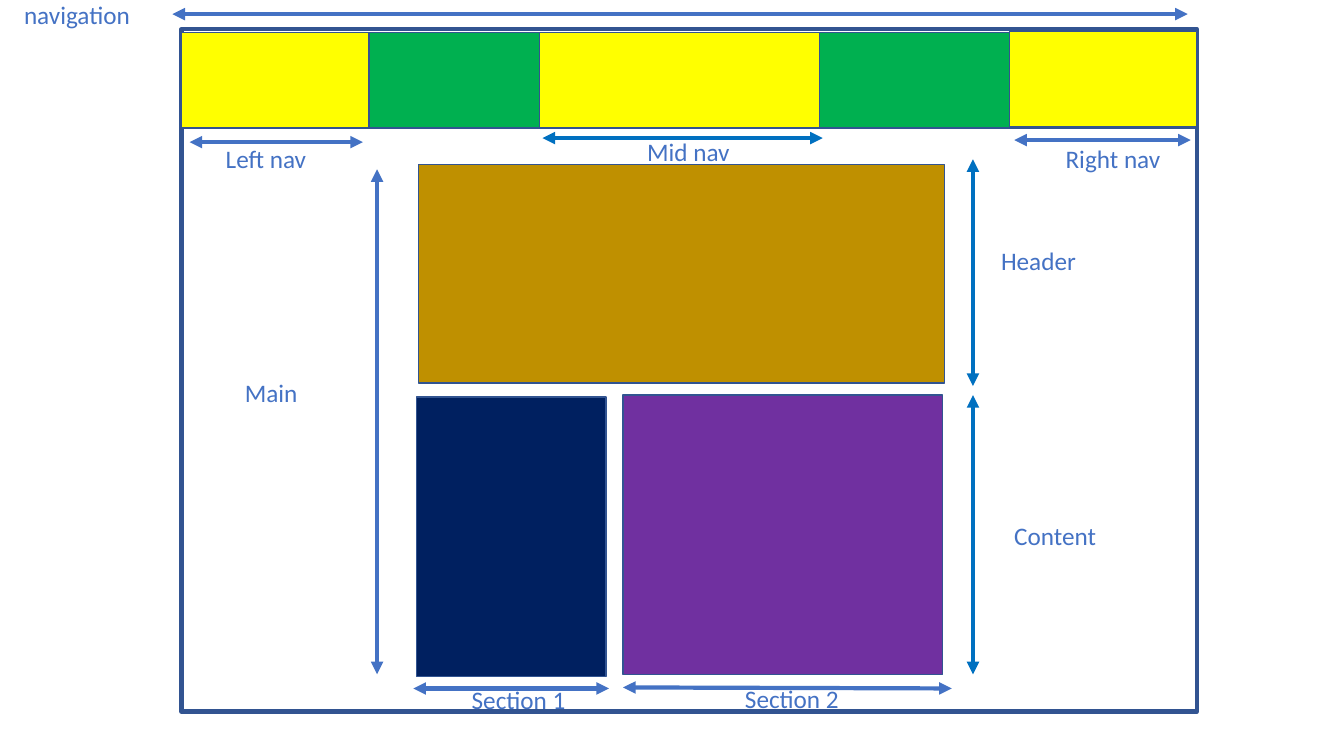
import pptx
import pptx.dml.color
import pptx.enum.shapes
import pptx.enum.text
import pptx.oxml
import pptx.oxml.ns
import pptx.util

Inches = pptx.util.Inches
Pt = pptx.util.Pt

COLORS = {
    "white": "FFFFFF", "border": "325491", "green": "00B050",
    "yellow": "FFFF00", "gold": "BF9000", "navy": "002060",
    "purple": "7030A0", "blue": "4472C4", "bright": "0070C0",
}

# Shared guides of the wireframe, in inches
PAGE_LEFT, PAGE_WIDTH = 1.8, 10.07
NAV_TOP, NAV_HEIGHT, SIDE_NAV_WIDTH = 0.32, 0.95, 1.86
RIGHT_NAV_LEFT = PAGE_LEFT + PAGE_WIDTH - SIDE_NAV_WIDTH
CONTENT_TOP, CONTENT_HEIGHT = 3.92, 2.77
CONTENT_BOTTOM = CONTENT_TOP + CONTENT_HEIGHT
MAIN_X, CONTENT_X = 3.74, 9.65
LABEL_HEIGHT = 0.4


def color(name):
    return pptx.dml.color.RGBColor.from_string(COLORS[name])


presentation = pptx.Presentation()
presentation.slide_width = Inches(13.33)
presentation.slide_height = Inches(7.5)
slide = presentation.slides.add_slide(presentation.slide_layouts[6])

# left, top, width, height, fill, line width
blocks = [
    (PAGE_LEFT, 0.29, PAGE_WIDTH, 6.77, "white", 3),
    (PAGE_LEFT, NAV_TOP, PAGE_WIDTH, NAV_HEIGHT, "green", 1),
    (PAGE_LEFT, NAV_TOP, SIDE_NAV_WIDTH, NAV_HEIGHT, "yellow", 1),
    (RIGHT_NAV_LEFT, NAV_TOP - 0.01, SIDE_NAV_WIDTH, NAV_HEIGHT, "yellow", 1),
    (5.35, NAV_TOP, 2.78, NAV_HEIGHT, "yellow", 1),
    (4.15, 1.63, 5.22, 2.17, "gold", 1),
    (4.13, CONTENT_TOP + 0.02, 1.88, CONTENT_HEIGHT, "navy", 1),
    (6.18, CONTENT_TOP, 3.17, CONTENT_HEIGHT, "purple", 1),
]
for left, top, width, height, fill, line_width in blocks:
    block = slide.shapes.add_shape(
        pptx.enum.shapes.MSO_SHAPE.RECTANGLE,
        Inches(left), Inches(top), Inches(width), Inches(height))
    block.shadow.inherit = False
    block.fill.solid()
    block.fill.fore_color.rgb = color(fill)
    block.line.color.rgb = color("border")
    block.line.width = Pt(line_width)

# start x, start y, end x, end y, color
arrows = [
    (1.71, 0.14, 11.78, 0.14, "blue"),
    (MAIN_X, 1.68, MAIN_X, CONTENT_BOTTOM, "blue"),
    (1.88, 1.41, 3.6, 1.41, "blue"),
    (5.38, 1.37, 8.16, 1.37, "bright"),
    (10.06, 1.39, 11.81, 1.39, "blue"),
    (CONTENT_X, 1.58, CONTENT_X, 3.83, "bright"),
    (CONTENT_X, CONTENT_TOP, CONTENT_X, CONTENT_BOTTOM, "bright"),
    (4.1, 6.83, 6.04, 6.83, "blue"),
    (6.18, 6.82, 9.44, 6.83, "blue"),
]
for start_x, start_y, end_x, end_y, line_color in arrows:
    arrow = slide.shapes.add_connector(
        pptx.enum.shapes.MSO_CONNECTOR.STRAIGHT,
        Inches(start_x), Inches(start_y), Inches(end_x), Inches(end_y))
    arrow.line.color.rgb = color(line_color)
    arrow.line.width = Pt(3)
    line_element = arrow.line._get_or_add_ln()
    for end in ("a:headEnd", "a:tailEnd"):
        arrowhead = pptx.oxml.parse_xml(
            f'<{end} {pptx.oxml.ns.nsdecls("a")} type="triangle"/>')
        line_element.append(arrowhead)
    arrow._element.spPr.append(
        pptx.oxml.parse_xml(f'<a:effectLst {pptx.oxml.ns.nsdecls("a")}/>'))

# text, left, top, width
labels = [
    ("navigation", 0.14, -0.06, 1.27),
    ("Main", 2.33, 3.69, 0.73),
    ("Left nav", 2.14, 1.37, 1.02),
    ("Mid nav", 6.32, 1.3, 1.03),
    ("Right nav", 10.47, 1.37, 1.15),
    ("Header", 9.83, 2.38, 0.95),
    ("Content", 9.96, 5.11, 1.02),
    ("Section 1", 4.58, 6.74, 1.15),
    ("Section 2", 7.29, 6.73, 1.15),
]
for text, left, top, width in labels:
    label = slide.shapes.add_textbox(
        Inches(left), Inches(top), Inches(width), Inches(LABEL_HEIGHT))
    label.text_frame.word_wrap = False
    label.text_frame.auto_size = pptx.enum.text.MSO_AUTO_SIZE.SHAPE_TO_FIT_TEXT
    paragraph = label.text_frame.paragraphs[0]
    paragraph.text = text
    paragraph.font.name = "Calibri"
    paragraph.font.size = Pt(18)
    paragraph.font.color.rgb = color("blue")

presentation.save("out.pptx")
